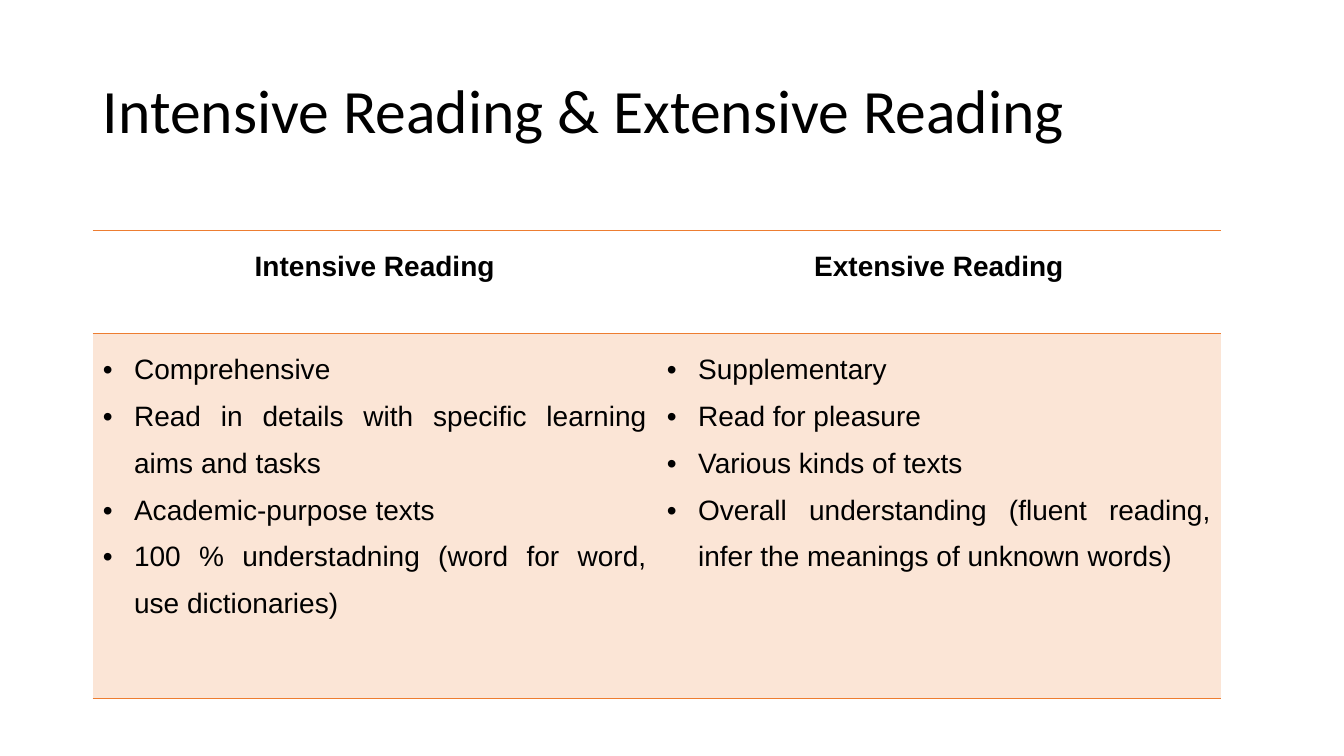
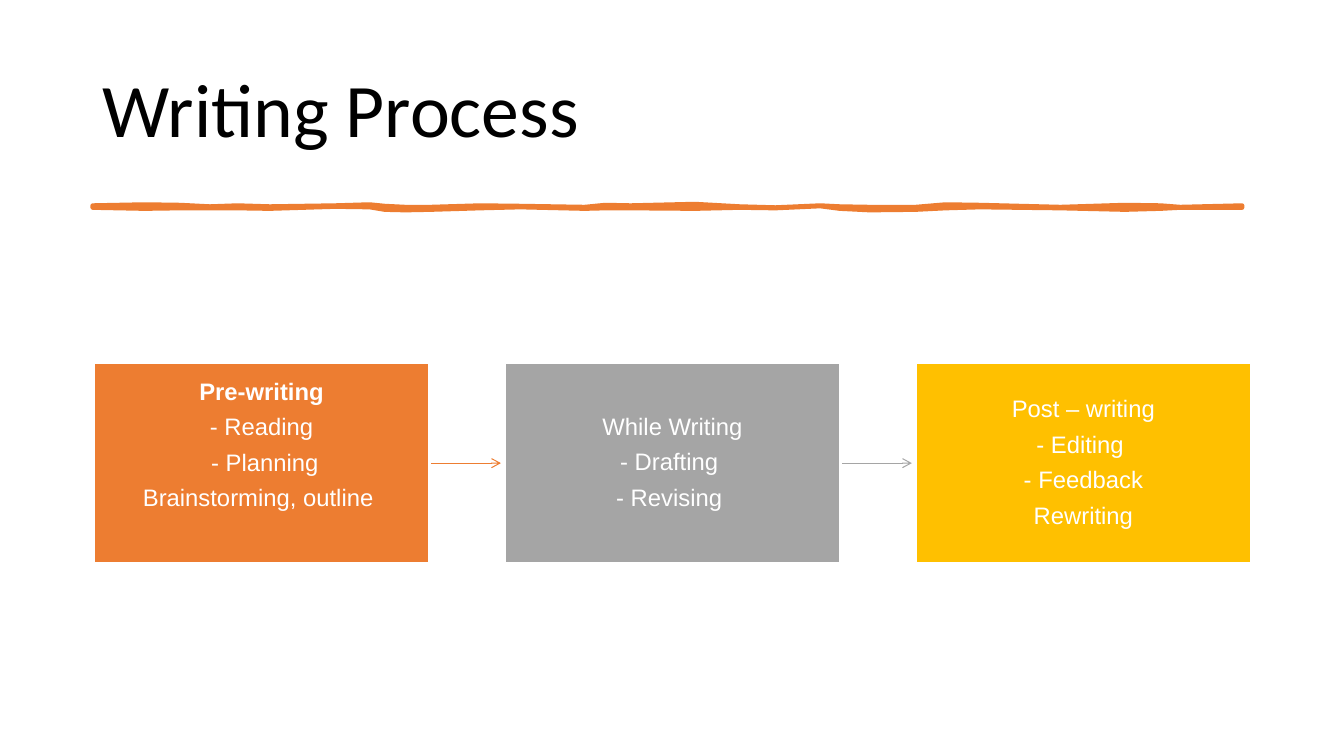
from lxml.etree import SubElement
from pptx import Presentation
from pptx.dml.color import RGBColor
from pptx.enum.shapes import MSO_CONNECTOR, MSO_SHAPE
from pptx.enum.text import MSO_ANCHOR as Anchor, MSO_AUTO_SIZE, PP_ALIGN as Align
from pptx.oxml.ns import qn
from pptx.util import Inches, Pt

COLORS = {
    "text": "000000",
    "light": "FFFFFF",
    "orange": "ED7D31",
    "peach": "FBE5D6",
    "grey": "A5A5A5",
    "gold": "FFC000",
}
TITLE_FONT, BODY_FONT = "Calibri", "Arial"
SLIDE_WIDTH, SLIDE_HEIGHT = Inches(13.33), Inches(7.5)
NO_TABLE_STYLE = "{2D5ABB26-0587-4C30-8999-92F81FD0307C}"

# Boxes are left, top, width and height in percent of the slide.
TITLE_BOX = (6.9, 5.33, 86.27, 19.33)
TABLE_BOX = (6.9, 30.53, 83.95, 61.87)
RULE_BOX = (6.9, 27.33, 85.52, 0)
STEPS_BOX = (6.98, 48, 86.12, 26.53)

COMPARISON = {
    "Intensive Reading": [
        "Comprehensive",
        "Read in details with specific learning aims and tasks",
        "Academic-purpose texts",
        "100 % understadning (word for word, use dictionaries)",
    ],
    "Extensive Reading": [
        "Supplementary",
        "Read for pleasure",
        "Various kinds of texts",
        "Overall understanding (fluent reading, infer the meanings of unknown words)",
    ],
}

# Lines, fill, whether the first line is bold, extra bottom inset in inches
STEPS = [
    (["Pre-writing", "- Reading", " - Planning", "Brainstorming, outline "], "orange", True, 0.34),
    (["While Writing", "- Drafting ", "- Revising "], "grey", False, 0),
    (["Post – writing", "- Editing ", "- Feedback", "Rewriting"], "gold", False, 0),
]

# Percent along the rule, then reach above and below its axis in hundredths of an inch
BRUSH_STROKE = [
    (0, 1, 1), (4.5, 2, 2), (7.6, 1.5, 1.5), (10.2, 0, 1.5), (12.6, 1, 1.5),
    (15.4, 0, 2), (21.1, 1, 0), (24.1, 2, 0.5), (25.4, 0.5, 3), (27.2, -0.5, 3.5),
    (29.4, -0.5, 3), (33.7, 1, 1.5), (37.2, 0.5, 0.5), (42.8, -0.5, 2), (44.6, 1.5, 1.5),
    (46.8, 1, 1.5), (52.4, 2.5, 2), (56.3, 0, 1), (59.4, -1, 1.5), (63.3, 1, -0.5),
    (65, 0, 2), (67.6, -0.5, 3.5), (71.6, -0.5, 3), (74.2, 2, 1.5), (77.2, 1.5, 0.5),
    (84.2, -0.5, 1.5), (89.8, 1.5, 3), (92.9, 1, 2), (94.6, -0.5, 1), (100, 1, 1),
]


def rgb(name):
    return RGBColor.from_string(COLORS[name])


def to_lengths(box):
    sizes = (SLIDE_WIDTH, SLIDE_HEIGHT) * 2
    return [int(size * share / 100) for size, share in zip(sizes, box)]


def add_bullet(paragraph, color):
    properties = paragraph._p.get_or_add_pPr()
    properties.set("marL", str(Inches(0.31)))
    properties.set("indent", str(-Inches(0.31)))
    bullet_color = SubElement(properties, qn("a:buClr"))
    SubElement(bullet_color, qn("a:srgbClr"), val=COLORS[color])
    SubElement(properties, qn("a:buFont"), typeface=BODY_FONT)
    SubElement(properties, qn("a:buChar"), char="•")


def write(frame, lines, size, font=BODY_FONT, color="text", align=Align.LEFT, spacing=0.9,
          after=0, bold_lines=0, bulleted=False):
    """Fill a text frame with one paragraph per line; the first bold_lines are bold."""
    for index, line in enumerate(lines):
        paragraph = frame.add_paragraph() if index else frame.paragraphs[0]
        if bulleted:
            add_bullet(paragraph, color)
        paragraph.alignment = align
        paragraph.line_spacing = spacing
        paragraph.space_before, paragraph.space_after = Pt(0), Pt(after)
        run = paragraph.add_run()
        run.text = line
        run.font.size, run.font.name = Pt(size), font
        run.font.bold = index < bold_lines
        run.font.color.rgb = rgb(color)


def add_titled_slide(presentation, title, size):
    slide = presentation.slides.add_slide(presentation.slide_layouts[5])
    shape = slide.shapes.title
    shape.left, shape.top, shape.width, shape.height = to_lengths(TITLE_BOX)
    frame = shape.text_frame
    frame.word_wrap, frame.auto_size = True, MSO_AUTO_SIZE.NONE
    frame.vertical_anchor = Anchor.MIDDLE
    write(frame, [title], size, font=TITLE_FONT)
    return slide


def add_cell_borders(cell, color, width):
    """Rule the top and bottom edges of a cell and leave its sides open."""
    properties = cell._tc.get_or_add_tcPr()
    for side in "LR":
        SubElement(SubElement(properties, qn(f"a:ln{side}")), qn("a:noFill"))
    for side in "TB":
        line = SubElement(properties, qn(f"a:ln{side}"), w=str(Pt(width)))
        fill = SubElement(line, qn("a:solidFill"))
        SubElement(fill, qn("a:srgbClr"), val=COLORS[color])


def add_comparison_table(slide, box, comparison):
    left, top, width, height = to_lengths(box)
    graphic_frame = slide.shapes.add_table(2, len(comparison), left, top, width, height)
    table = graphic_frame.table
    table.first_row = table.horz_banding = False
    table._tbl.tblPr.find(qn("a:tableStyleId")).text = NO_TABLE_STYLE
    for row, share in zip(table.rows, (0.22, 0.78)):
        row.height = int(height * share)
    for column, (heading, points) in enumerate(comparison.items()):
        header, body = table.cell(0, column), table.cell(1, column)
        for cell in (header, body):
            add_cell_borders(cell, "orange", 1)
        header.fill.background()
        body.fill.solid()
        body.fill.fore_color.rgb = rgb("peach")
        write(header.text_frame, [heading], 20, align=Align.CENTER, spacing=1.5, bold_lines=1)
        write(body.text_frame, points, 20, align=Align.JUSTIFY, spacing=1.5, bulleted=True)


def add_brush_rule(slide, box, color):
    left, axis, width, _ = to_lengths(box)
    upper = [(left + width * x / 100, axis - Inches(rise / 100)) for x, rise, _ in BRUSH_STROKE]
    lower = [(left + width * x / 100, axis + Inches(fall / 100)) for x, _, fall in BRUSH_STROKE]
    outline = upper + lower[::-1]
    builder = slide.shapes.build_freeform(*outline[0])
    builder.add_line_segments(outline[1:], close=True)
    stroke = builder.convert_to_shape()
    stroke.shadow.inherit = False
    stroke.fill.solid()
    stroke.fill.fore_color.rgb = stroke.line.color.rgb = rgb(color)
    stroke.line.width = Pt(3.25)


def add_arrow(slide, start, end, y, color):
    arrow = slide.shapes.add_connector(MSO_CONNECTOR.STRAIGHT, start, y, end, y)
    arrow.line.color.rgb = rgb(color)
    arrow.line.width = Pt(0.75)
    SubElement(arrow.line._get_or_add_ln(), qn("a:tailEnd"), type="arrow")
    SubElement(arrow._element.spPr, qn("a:effectLst"))


def add_step(slide, bounds, lines, color, bold_heading, lift):
    step = slide.shapes.add_shape(MSO_SHAPE.RECTANGLE, *bounds)
    step.shadow.inherit = False
    step.fill.solid()
    step.fill.fore_color.rgb = rgb(color)
    step.line.color.rgb = rgb("light")
    step.line.width = Pt(2)
    frame = step.text_frame
    frame.word_wrap, frame.vertical_anchor = True, Anchor.MIDDLE
    frame.margin_left = frame.margin_right = Inches(0.16)
    frame.margin_top, frame.margin_bottom = Inches(0.17), Inches(0.17 + lift)
    write(frame, lines, 17, color="light", align=Align.CENTER, after=7,
          bold_lines=int(bold_heading))


def add_process(slide, box, steps):
    """Place equal steps in a row, with an arrow in each gap."""
    left, top, width, height = to_lengths(box)
    step_width = int(width * 0.29)
    gap = (width - step_width * len(steps)) // (len(steps) - 1)
    for index, (lines, color, bold_heading, lift) in enumerate(steps):
        x = left + index * (step_width + gap)
        if index < len(steps) - 1:
            start = x + step_width
            add_arrow(slide, start, start + int(gap * 0.95), top + height // 2, color)
        add_step(slide, (x, top, step_width, height), lines, color, bold_heading, lift)


def main():
    presentation = Presentation()
    presentation.slide_width, presentation.slide_height = SLIDE_WIDTH, SLIDE_HEIGHT

    reading = add_titled_slide(presentation, "Intensive Reading & Extensive Reading", 44)
    add_comparison_table(reading, TABLE_BOX, COMPARISON)

    writing = add_titled_slide(presentation, "Writing Process", 54)
    add_brush_rule(writing, RULE_BOX, "orange")
    add_process(writing, STEPS_BOX, STEPS)

    presentation.save("out.pptx")


if __name__ == "__main__":
    main()
